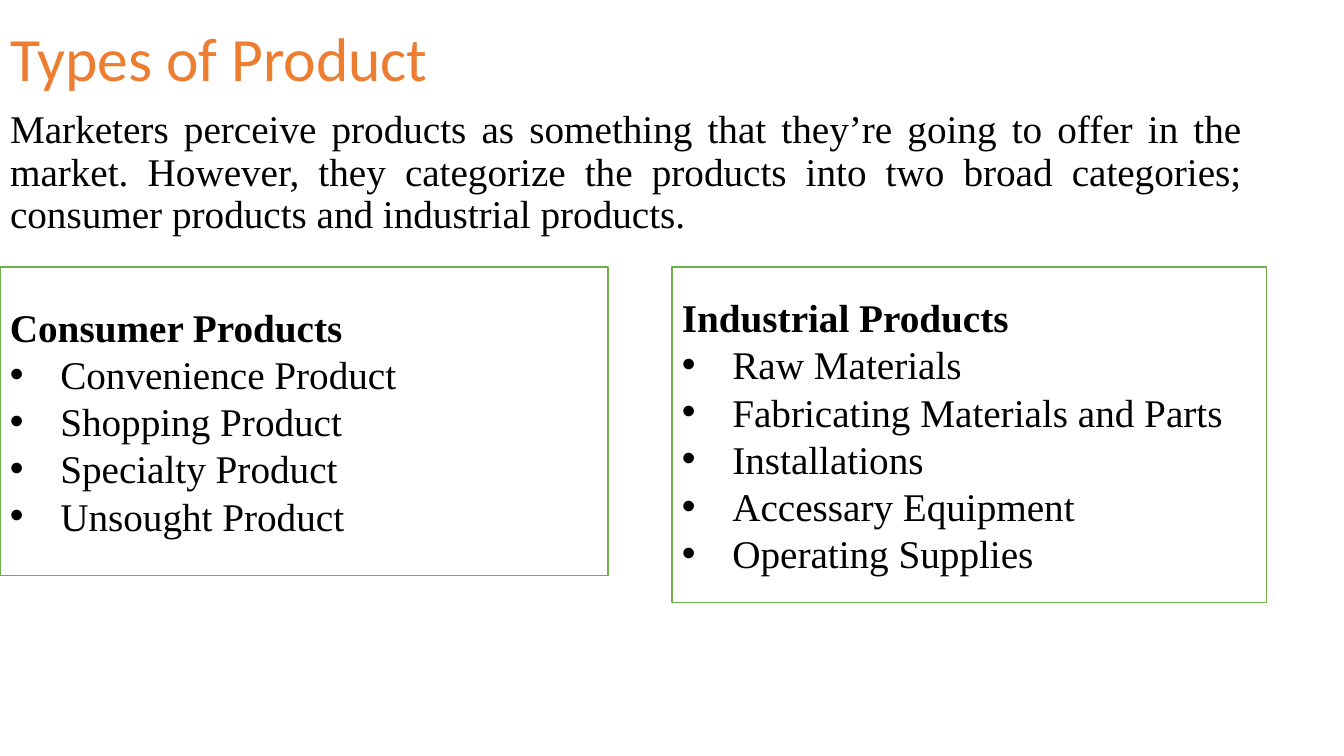
import dataclasses

import lxml.etree
import pptx
import pptx.dml.color
import pptx.enum.shapes
import pptx.enum.text
import pptx.oxml.ns
import pptx.util


@dataclasses.dataclass
class Theme:
    head_font: str = "Calibri"
    text_font: str = "Times New Roman"
    head_size: int = 44
    text_size: int = 28
    head: str = "ED7D31"
    text: str = "000000"
    fill: str = "FFFFFF"
    line: str = "70AD47"


def rgb(code):
    return pptx.dml.color.RGBColor.from_string(code)


class Deck:
    def __init__(self, theme):
        self.theme = theme
        self.show = pptx.Presentation()
        self.show.slide_width = pptx.util.Inches(13.33)
        self.show.slide_height = pptx.util.Inches(7.5)
        self.slide = self.show.slides.add_slide(self.show.slide_layouts[1])

    def span(self, left, top, width, height):
        wide, high = self.show.slide_width, self.show.slide_height
        return [int(share * side / 100) for share, side in
                zip((left, top, width, height), (wide, high, wide, high))]

    def place(self, shape, area):
        shape.left, shape.top, shape.width, shape.height = self.span(*area)
        shape.text_frame.auto_size = pptx.enum.text.MSO_AUTO_SIZE.NONE
        shape.text_frame.word_wrap = True

    def add_text(self, para, text, font, size, color, bold=False):
        run = para.add_run()
        run.text = text
        run.font.name = font
        run.font.size = pptx.util.Pt(size)
        run.font.color.rgb = rgb(color)
        run.font.bold = bold

    def bullet(self, para, mark, indent):
        props = para._p.get_or_add_pPr()
        inset = pptx.util.Inches(indent)
        props.set("marL", str(inset))
        props.set("indent", str(-inset))
        tag = pptx.oxml.ns.qn
        if mark:
            lxml.etree.SubElement(props, tag("a:buFont"), typeface="Arial")
            lxml.etree.SubElement(props, tag("a:buChar"), char=mark)
        else:
            lxml.etree.SubElement(props, tag("a:buNone"))

    def title(self, text, area):
        shape = self.slide.shapes.title
        self.place(shape, area)
        shape.text_frame.vertical_anchor = pptx.enum.text.MSO_ANCHOR.MIDDLE
        para = shape.text_frame.paragraphs[0]
        para.alignment = pptx.enum.text.PP_ALIGN.LEFT
        para.line_spacing = 0.9
        look = self.theme
        self.add_text(para, text, look.head_font, look.head_size, look.head)

    def body(self, text, area):
        shape = self.slide.placeholders[1]
        self.place(shape, area)
        para = shape.text_frame.paragraphs[0]
        self.bullet(para, None, 0)
        para.alignment = pptx.enum.text.PP_ALIGN.JUSTIFY
        para.line_spacing = 0.9
        para.space_before = pptx.util.Pt(0)
        look = self.theme
        self.add_text(para, text, look.text_font, look.text_size, look.text)

    def panel(self, head, items, area):
        look = self.theme
        shape = self.slide.shapes.add_shape(
            pptx.enum.shapes.MSO_SHAPE.RECTANGLE, *self.span(*area))
        self.place(shape, area)
        shape.shadow.inherit = False
        shape.fill.solid()
        shape.fill.fore_color.rgb = rgb(look.fill)
        shape.line.color.rgb = rgb(look.line)
        shape.line.width = pptx.util.Pt(1)
        frame = shape.text_frame
        frame.vertical_anchor = pptx.enum.text.MSO_ANCHOR.MIDDLE
        for row, text in enumerate([head, *items]):
            para = frame.add_paragraph() if row else frame.paragraphs[0]
            if row:
                self.bullet(para, "•", 0.5)
            para.alignment = pptx.enum.text.PP_ALIGN.LEFT
            self.add_text(para, text, look.text_font, look.text_size,
                          look.text, bold=row == 0)


def main():
    deck = Deck(Theme())
    deck.title("Types of Product", (0, 0, 93.15, 16.27))
    deck.body(
        "Marketers perceive products as something that they’re going to offer "
        "in the market. However, they categorize the products into two broad "
        "categories; consumer products and industrial products.",
        (0, 13.87, 93.15, 86.13))
    top = 35.33
    deck.panel(
        "Industrial Products",
        ["Raw Materials", "Fabricating Materials and Parts", "Installations",
         "Accessary Equipment", "Operating Supplies"],
        (50, top, 44.25, 44.4))
    deck.panel(
        "Consumer Products",
        ["Convenience Product", "Shopping Product", "Specialty Product",
         "Unsought Product"],
        (0, top, 45.23, 40.8))
    deck.show.save("out.pptx")


if __name__ == "__main__":
    main()
